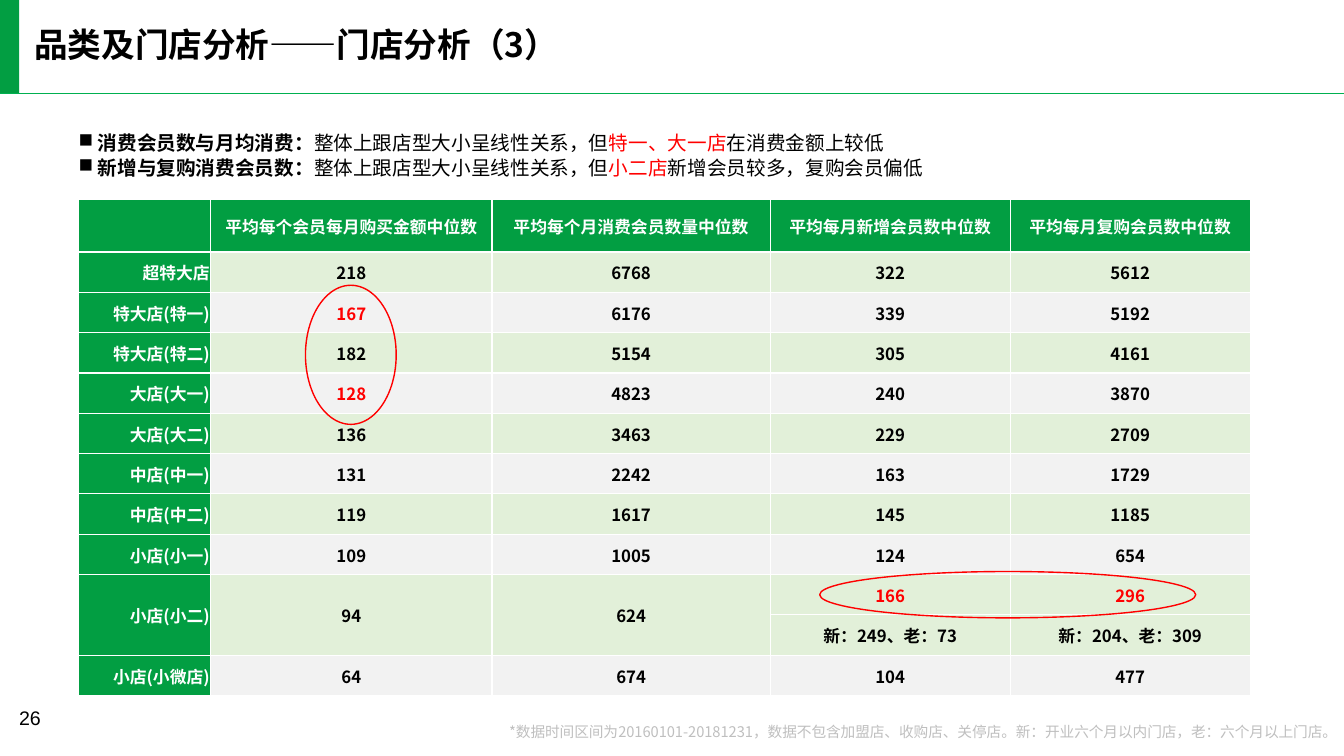
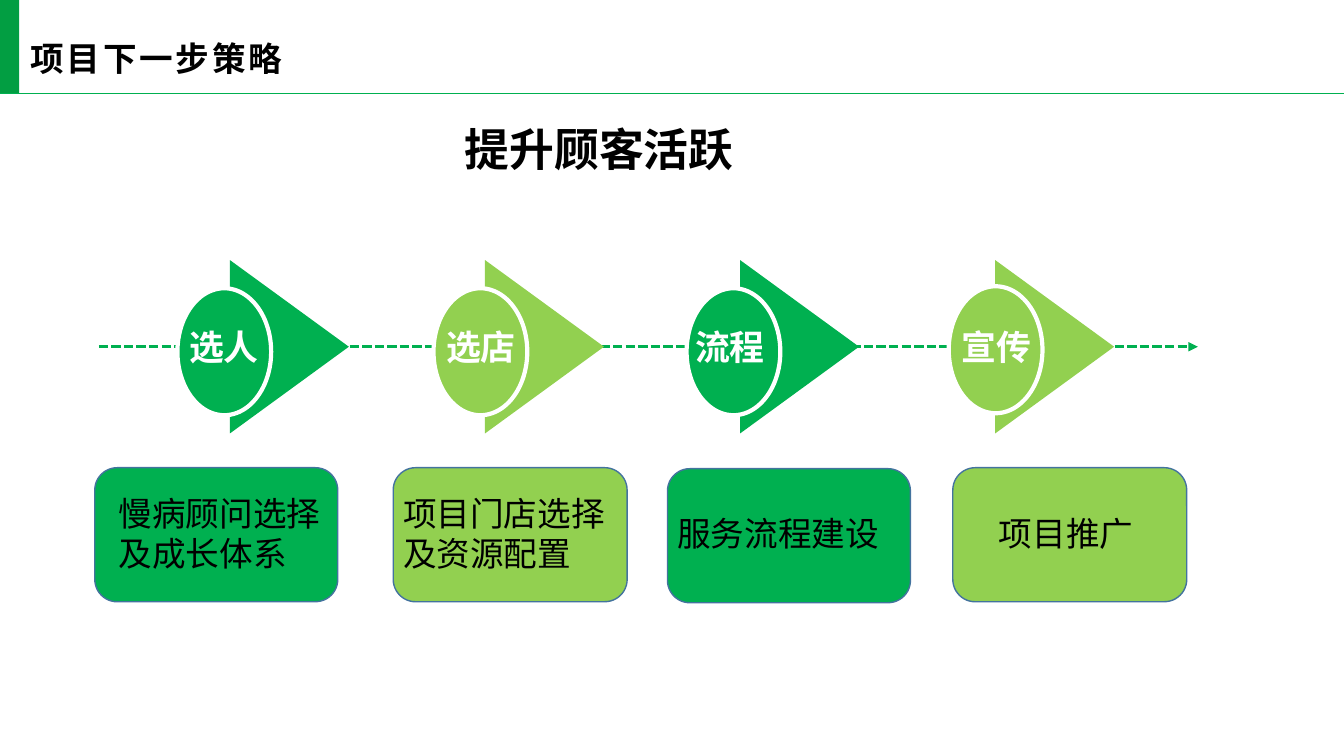
from lxml.etree import SubElement
from pptx import Presentation
from pptx.dml.color import RGBColor
from pptx.enum.dml import MSO_LINE
from pptx.enum.shapes import MSO_CONNECTOR, MSO_SHAPE as SHAPE
from pptx.enum.text import MSO_ANCHOR as ANCHOR, PP_ALIGN as ALIGN
from pptx.oxml.ns import qn
from pptx.util import Inches, Pt

FONT = "Noto Sans CJK SC"
COLORS = {
    "black": "000000", "white": "FFFFFF", "red": "FF0000", "note": "BFBFBF",
    "band": "029E42", "green": "00B050", "lime": "92D050", "outline": "43739E",
    "row tint": "E2F0D9", "row gray": "F2F2F2",
}
RGB = {name: RGBColor.from_string(value) for name, value in COLORS.items()}
NO_INSETS = dict.fromkeys(
    ("margin_left", "margin_top", "margin_right", "margin_bottom"), 0)


def write(frame, paragraphs, size, color="black", bold=False, font=FONT,
          spacing=None, frame_format=None, paragraph_format=None):
    """Fill a text frame; each paragraph is a list of (text, color, bold) runs or a string."""
    for name, value in {"word_wrap": True, **(frame_format or {})}.items():
        setattr(frame, name, value)
    for index, runs in enumerate(paragraphs):
        paragraph = frame.add_paragraph() if index else frame.paragraphs[0]
        for name, value in (paragraph_format or {}).items():
            setattr(paragraph, name, value)
        if isinstance(runs, str):
            runs = [(runs, color, bold)]
        for text, run_color, run_bold in runs:
            run = paragraph.add_run()
            run.text = text
            run.font.color.rgb = RGB[run_color]
            for name, value in {"size": Pt(size), "bold": run_bold, "name": font}.items():
                setattr(run.font, name, value)
            properties = run._r.get_or_add_rPr()
            SubElement(properties, qn("a:ea"), typeface=font)
            if spacing:
                properties.set("spc", str(spacing))


def draw(slide, kind, box, fill=None, line=None, width=1):
    shape = slide.shapes.add_shape(kind, *map(Inches, box))
    shape.shadow.inherit = False
    if fill:
        shape.fill.solid()
        shape.fill.fore_color.rgb = RGB[fill]
    else:
        shape.fill.background()
    if line:
        shape.line.color.rgb = RGB[line]
        shape.line.width = Pt(width)
    else:
        shape.line.fill.background()
    return shape


deck = Presentation()
deck.slide_width, deck.slide_height = Inches(13.33), Inches(7.5)

# Header shared by both slides
headers = [
    ("品类及门店分析——门店分析（3）", (0.34, 0.28, 6.29, 0.36), None,
     NO_INSETS, {"line_spacing": 0.9}),
    ("项目下一步策略", (0.19, 0.22, 5.88, 0.71), 200,
     {"vertical_anchor": ANCHOR.MIDDLE, "margin_left": Inches(0.11)}, None),
]
slides, connectors = [], []
for title, box, spacing, frame_format, paragraph_format in headers:
    slide = deck.slides.add_slide(deck.slide_layouts[6])
    draw(slide, SHAPE.RECTANGLE, (0, -0.01, 0.19, 0.94), "band")
    rule = slide.shapes.add_connector(
        MSO_CONNECTOR.STRAIGHT, 0, Inches(0.93), deck.slide_width, Inches(0.93))
    rule.line.color.rgb = RGB["green"]
    rule.line.width = Pt(1)
    connectors.append(rule)
    write(slide.shapes.add_textbox(*map(Inches, box)).text_frame, [title], 24,
          bold=True, spacing=spacing, frame_format=frame_format,
          paragraph_format=paragraph_format)
    slides.append(slide)
stores, strategy = slides

# Slide 1: store analysis
footnote = stores.shapes.add_textbox(*map(Inches, (4.84, 7.19, 8.43, 0.16)))
write(footnote.text_frame,
      ["*数据时间区间为20160101-20181231，数据不包含加盟店、收购店、关停店。"
       "新：开业六个月以内门店，老：六个月以上门店。"],
      10.5, "note", frame_format={**NO_INSETS, "word_wrap": False},
      paragraph_format={"alignment": ALIGN.RIGHT, "line_spacing": 0.9})
page_number = stores.shapes.add_textbox(*map(Inches, (0.09, 6.95, 0.91, 0.4)))
write(page_number.text_frame, ["26"], 14, font="Arial")

findings = stores.shapes.add_textbox(*map(Inches, (0.78, 1.28, 11.6, 0.5))).text_frame
write(findings, [
    [("消费会员数与月均消费：", "black", True),
     ("整体上跟店型大小呈线性关系，但", "black", False),
     ("特一、大一店", "red", False),
     ("在消费金额上较低", "black", False)],
    [("新增与复购消费会员数：", "black", True),
     ("整体上跟店型大小呈线性关系，但", "black", False),
     ("小二店", "red", False),
     ("新增会员较多，复购会员偏低", "black", False)],
], 14, frame_format={**NO_INSETS, "vertical_anchor": ANCHOR.MIDDLE},
    paragraph_format={"line_spacing": Pt(18)})
for finding in findings.paragraphs:
    properties = finding._p.get_or_add_pPr()
    properties.set("marL", str(Inches(0.19)))
    properties.set("indent", str(-Inches(0.19)))
    SubElement(properties, qn("a:buChar"), char="■")

rows = [
    ("", "平均每个会员每月购买金额中位数", "平均每个月消费会员数量中位数",
     "平均每月新增会员数中位数", "平均每月复购会员数中位数"),
    ("超特大店", "218", "6768", "322", "5612"),
    ("特大店(特一)", "167", "6176", "339", "5192"),
    ("特大店(特二)", "182", "5154", "305", "4161"),
    ("大店(大一)", "128", "4823", "240", "3870"),
    ("大店(大二)", "136", "3463", "229", "2709"),
    ("中店(中一)", "131", "2242", "163", "1729"),
    ("中店(中二)", "119", "1617", "145", "1185"),
    ("小店(小一)", "109", "1005", "124", "654"),
    ("小店(小二)", "94", "624", "166", "296"),
    ("", "", "", "新：249、老：73", "新：204、老：309"),
    ("小店(小微店)", "64", "674", "104", "477"),
]
highlights = {(2, 1), (4, 1), (9, 3), (9, 4)}
split_row = 9
column_widths = (1.31, 2.79, 2.76, 2.38, 2.38)
table = stores.shapes.add_table(
    len(rows), len(column_widths), *map(Inches, (0.78, 1.98, 11.62, 4.91))).table
for column, width in zip(table.columns, column_widths):
    column.width = Inches(width)
for r, row in enumerate(rows):
    table.rows[r].height = Inches(0.4 if r else 0.52)
    stripe = r - (r > split_row)
    for c, text in enumerate(row):
        cell = table.cell(r, c)
        heading = r == 0 or c == 0
        for name, value in {"vertical_anchor": ANCHOR.MIDDLE, "margin_left": Inches(0.01),
                            "margin_top": Inches(0.01), "margin_right": Inches(0.01),
                            "margin_bottom": 0}.items():
            setattr(cell, name, value)
        for side in ("a:lnL", "a:lnR", "a:lnT", "a:lnB"):
            border = SubElement(cell._tc.get_or_add_tcPr(), qn(side), w=str(Pt(1)))
            border_fill = SubElement(border, qn("a:solidFill"))
            SubElement(border_fill, qn("a:srgbClr"), val=COLORS["white"])
        cell.fill.solid()
        cell.fill.fore_color.rgb = RGB[
            "band" if heading else "row tint" if stripe % 2 else "row gray"]
        if text:
            color = "white" if heading else "red" if (r, c) in highlights else "black"
            write(cell.text_frame, [text], 12, color, True, paragraph_format={
                "alignment": ALIGN.RIGHT if c == 0 else ALIGN.CENTER})
for c in range(3):
    table.cell(split_row, c).merge(table.cell(split_row + 1, c))

for ring in ((3.03, 2.83, 0.9, 1.38), (8.13, 5.67, 3.73, 0.46)):
    draw(stores, SHAPE.OVAL, ring, line="red")

# Slide 2: next steps
headline = strategy.shapes.add_textbox(*map(Inches, (4.51, 1.16, 2.87, 0.64)))
write(headline.text_frame, ["提升顾客活跃"], 32, bold=True,
      frame_format={"word_wrap": False})

timeline = strategy.shapes.add_connector(
    MSO_CONNECTOR.STRAIGHT, *map(Inches, (0.98, 3.44, 11.88, 3.44)))
timeline.line.color.rgb = RGB["green"]
timeline.line.width = Pt(2.25)
timeline.line.dash_style = MSO_LINE.SQUARE_DOT
SubElement(timeline.line._get_or_add_ln(), qn("a:tailEnd"), type="triangle")
connectors.append(timeline)

# step, color, circle left and top, label left, card box, task lines, task box, wrap, spacing
steps = [
    ("选人", "green", 1.76, 2.86, 1.6, (0.94, 4.64, 2.41, 1.33),
     ["慢病顾问选择", "及成长体系"], (1.08, 4.84, 2.2, 0.91), False, None),
    ("选店", "lime", 4.3, 2.86, 4.15, (3.9, 4.64, 2.32, 1.33),
     ["项目门店选择及资源配置"], (3.9, 4.84, 2.32, 0.91), True, None),
    ("流程", "green", 6.81, 2.86, 6.62, (6.62, 4.65, 2.41, 1.33),
     ["服务流程建设"], (6.62, 5.04, 2.2, 0.5), False, None),
    ("宣传", "lime", 9.41, 2.84, 9.26, (9.45, 4.64, 2.32, 1.33),
     ["项目推广"], (9.81, 4.84, 1.53, 0.71), False, 1.5),
]
for index, (step, color, circle_left, circle_top, label_left, card,
            task, task_box, wrap, line_spacing) in enumerate(steps):
    pointer = draw(strategy, SHAPE.ISOSCELES_TRIANGLE,
                   (2.01 + 2.53 * index, 2.85, 1.72, 1.18), color)
    pointer.rotation = 90
    draw(strategy, SHAPE.OVAL, (circle_left, circle_top, 0.93, 1.26), color, "white", 3)
    label = strategy.shapes.add_textbox(*map(Inches, (label_left, 3.18, 1.24, 0.52)))
    write(label.text_frame, [step], 24.9, "white", True,
          paragraph_format={"alignment": ALIGN.CENTER})
    draw(strategy, SHAPE.ROUNDED_RECTANGLE, card, color, "outline")
    write(strategy.shapes.add_textbox(*map(Inches, task_box)).text_frame, task, 24,
          frame_format={"word_wrap": wrap},
          paragraph_format={"line_spacing": line_spacing})

for connector in connectors:
    SubElement(connector._element.spPr, qn("a:effectLst"))

deck.save("out.pptx")
